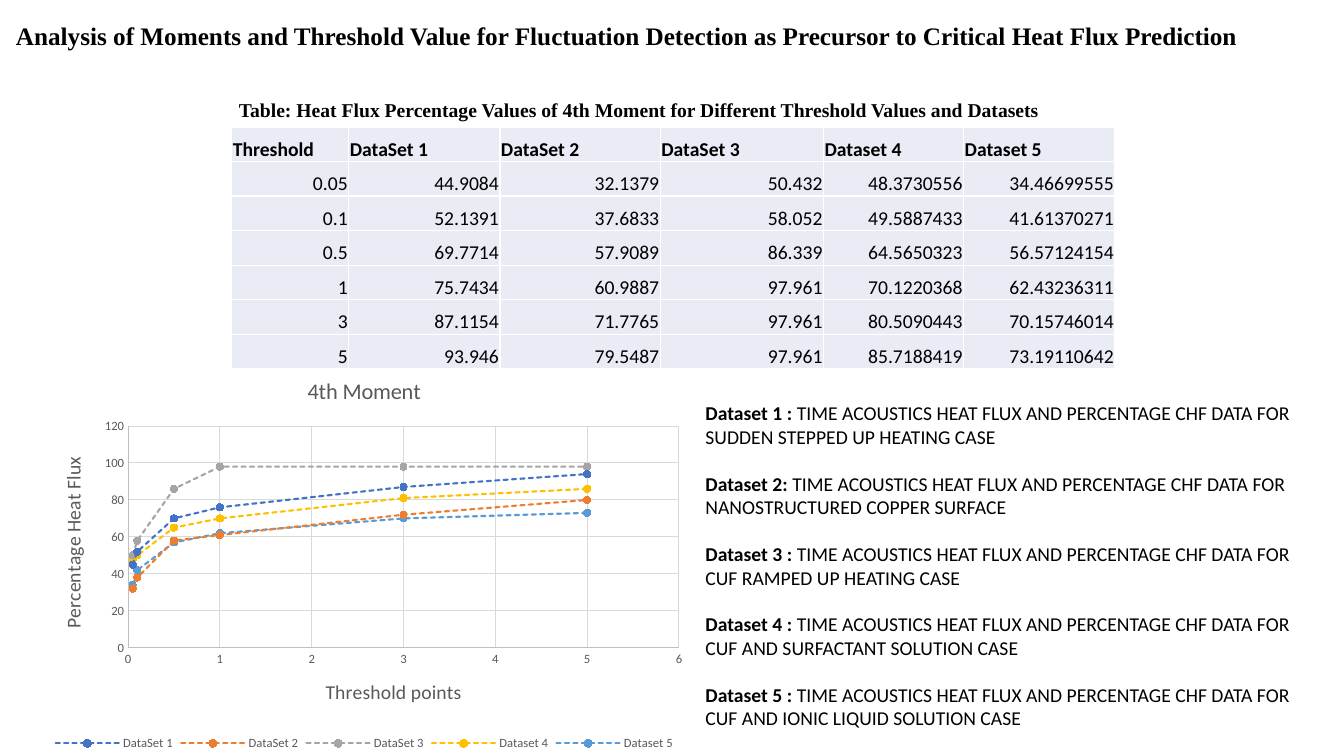
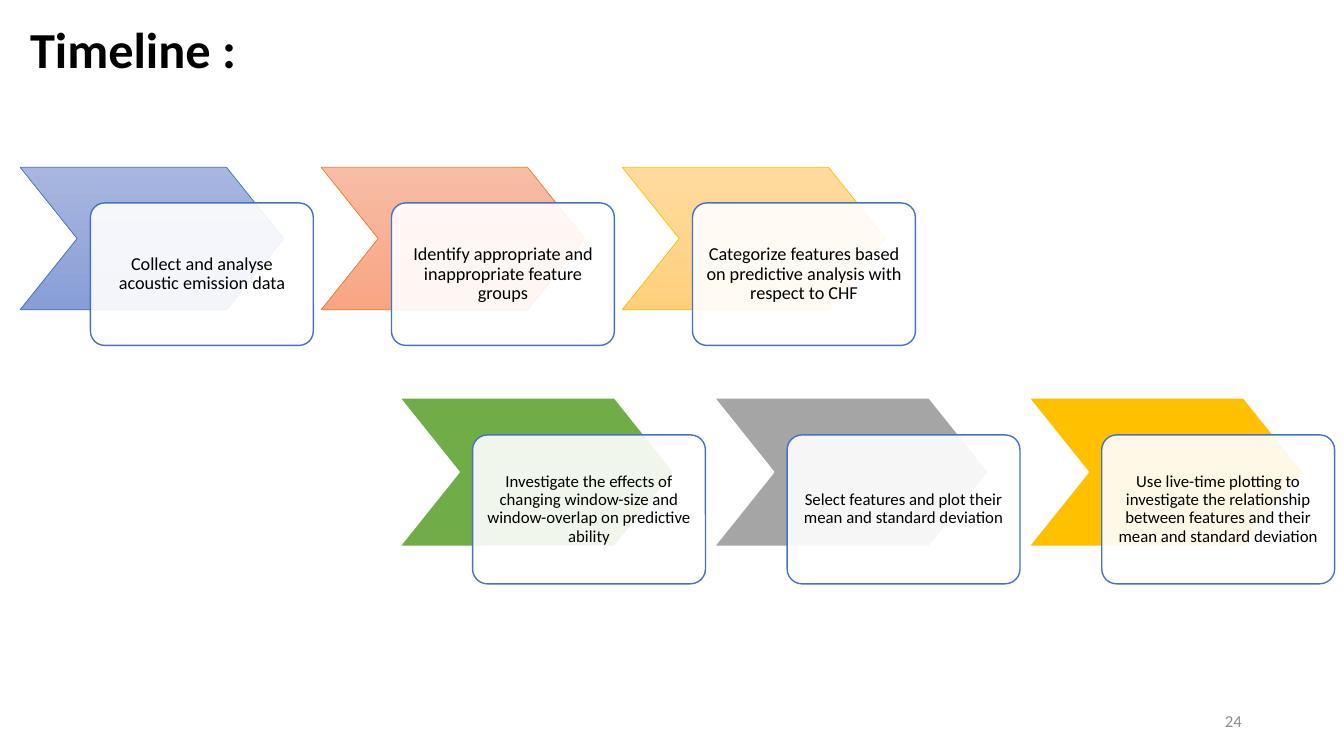
"""Build a heat flux analysis slide and a project timeline slide."""
import lxml.etree
import pptx
import pptx.chart.data
import pptx.dml.color
import pptx.enum.chart
import pptx.enum.dml
import pptx.enum.shapes
import pptx.enum.text
import pptx.oxml.ns
import pptx.util

WIDTH, HEIGHT = pptx.util.Inches(13.33), pptx.util.Inches(7.5)
BODY, SERIF = "Calibri", "Times New Roman"
BLACK, WHITE, GREY, NUMBER_GREY = "000000", "FFFFFF", "595959", "8C8C8C"
GRID, AXIS, CELL = "D9D9D9", "BFBFBF", "E9EBF5"
BLUE, ORANGE, SILVER, GOLD, SKY, GREEN = (
    "4472C4", "ED7D31", "A5A5A5", "FFC000", "5B9BD5", "70AD47")
ALIGN = pptx.enum.text.PP_ALIGN
ANCHOR = pptx.enum.text.MSO_ANCHOR
SHAPE = pptx.enum.shapes.MSO_SHAPE

HEADERS = ["Threshold", "DataSet 1", "DataSet 2", "DataSet 3", "Dataset 4", "Dataset 5"]
ROWS = [
    (0.05, 44.9084, 32.1379, 50.432, 48.3730556, 34.46699555),
    (0.1, 52.1391, 37.6833, 58.052, 49.5887433, 41.61370271),
    (0.5, 69.7714, 57.9089, 86.339, 64.5650323, 56.57124154),
    (1, 75.7434, 60.9887, 97.961, 70.1220368, 62.43236311),
    (3, 87.1154, 71.7765, 97.961, 80.5090443, 70.15746014),
    (5, 93.946, 79.5487, 97.961, 85.7188419, 73.19110642),
]
COLUMN_SHARES = [8.7, 11.25, 11.93, 12.15, 10.43, 11.25]
NOTE_START = "TIME ACOUSTICS HEAT FLUX AND PERCENTAGE CHF DATA FOR "
NOTES = [
    ("Dataset 1 : ", "SUDDEN STEPPED UP HEATING CASE"),
    ("Dataset 2: ", "NANOSTRUCTURED COPPER SURFACE"),
    ("Dataset 3 : ", "CUF RAMPED UP HEATING CASE"),
    ("Dataset 4 : ", "CUF AND SURFACTANT SOLUTION CASE"),
    ("Dataset 5 : ", "CUF AND IONIC LIQUID SOLUTION CASE"),
]
FIRST_STEPS = [
    ("Collect and analyse acoustic emission data", ("A8B7DF", "889ED7"), BLUE),
    ("Identify appropriate and inappropriate feature groups", ("F7BDA5", "F8A582"), ORANGE),
    ("Categorize features based on predictive analysis with respect to CHF",
     ("FFDB9E", "FFD07C"), GOLD),
]
SECOND_STEPS = [
    ("Investigate the effects of changing window-size and window-overlap on "
     "predictive ability", (GREEN,), WHITE),
    ("Select features and plot their mean and standard deviation", (SILVER,), WHITE),
    ("Use live-time plotting to investigate the relationship between features "
     "and their mean and standard deviation", (GOLD,), WHITE),
]


def rgb(value):
    """Turn a hex string into a colour."""
    return pptx.dml.color.RGBColor.from_string(value)


def share(x, y, w, h):
    """Turn percentages of the slide's size into a position and size."""
    return [round(total * part / 100)
            for total, part in zip((WIDTH, HEIGHT, WIDTH, HEIGHT), (x, y, w, h))]


def style(font, size, color=BLACK, bold=False, name=BODY):
    """Set the size, colour, weight and face of a font."""
    font.size, font.bold, font.name = pptx.util.Pt(size), bold, name
    font.color.rgb = rgb(color)


def set_line(line, color, width):
    """Set the colour and width of a line."""
    line.color.rgb = rgb(color)
    line.width = pptx.util.Pt(width)


def add_box(slide, area):
    """Add a wrapping text box and return its frame."""
    tf = slide.shapes.add_textbox(*share(*area)).text_frame
    tf.word_wrap = True
    return tf


def add_text(slide, area, text, size, align=ALIGN.LEFT, anchor=ANCHOR.TOP, **font):
    """Add a text box that holds one paragraph."""
    tf = add_box(slide, area)
    tf.vertical_anchor = anchor
    p = tf.paragraphs[0]
    p.text, p.alignment = text, align
    style(p.font, size, **font)


def add_notes(slide, area):
    """Add the dataset descriptions with bold labels."""
    tf = add_box(slide, area)
    for i, (label, case) in enumerate(NOTES):
        p = tf.add_paragraph() if i else tf.paragraphs[0]
        p.space_after = pptx.util.Pt(16.7)
        for text, bold in ((label, True), (NOTE_START + case, False)):
            r = p.add_run()
            r.text = text
            style(r.font, 14, bold=bold)


def add_value_table(slide, area):
    """Add the table of heat flux percentages."""
    values = [HEADERS] + ROWS
    table = slide.shapes.add_table(len(values), len(HEADERS), *share(*area)).table
    table.first_row = table.horz_banding = False
    for column, part in zip(table.columns, COLUMN_SHARES):
        column.width = round(WIDTH * part / 100)
    for i, row in enumerate(values):
        for j, value in enumerate(row):
            cell = table.cell(i, j)
            cell.fill.solid()
            cell.fill.fore_color.rgb = rgb(CELL)
            cell.vertical_anchor = ANCHOR.BOTTOM
            cell.margin_left = cell.margin_right = cell.margin_top = pptx.util.Inches(0.01)
            cell.margin_bottom = 0
            p = cell.text_frame.paragraphs[0]
            p.text = str(value)
            p.alignment = ALIGN.RIGHT if i else ALIGN.LEFT
            style(p.font, 14, bold=i == 0)


def set_title(owner, text, size):
    """Give a chart or an axis its title."""
    tf = (owner.chart_title if hasattr(owner, "chart_title") else owner.axis_title).text_frame
    tf.text = text
    style(tf.paragraphs[0].font, size, GREY)


def set_axis(axis, title, maximum, step):
    """Set the scale, lines, labels and title of an axis."""
    axis.minimum_scale, axis.maximum_scale, axis.major_unit = 0, maximum, step
    axis.major_tick_mark = axis.minor_tick_mark = pptx.enum.chart.XL_TICK_MARK.NONE
    axis.has_major_gridlines = True
    set_line(axis.major_gridlines.format.line, GRID, 0.75)
    set_line(axis.format.line, AXIS, 0.75)
    style(axis.tick_labels.font, 9, GREY)
    axis.tick_labels.number_format = "General"
    axis.tick_labels.number_format_is_linked = False
    set_title(axis, title, 14)


def set_plot_area(chart, **parts):
    """Fix the inner plot area as shares of the chart's size."""
    qn = pptx.oxml.ns.qn
    area = chart.element.find(".//" + qn("c:plotArea"))
    layout = area.find(qn("c:layout"))
    if layout is None:
        layout = lxml.etree.Element(qn("c:layout"))
        area.insert(0, layout)
    manual = lxml.etree.SubElement(layout, qn("c:manualLayout"))
    settings = {"layoutTarget": "inner", "xMode": "edge", "yMode": "edge", **parts}
    for tag, value in settings.items():
        lxml.etree.SubElement(manual, qn("c:" + tag)).set("val", str(value))


def round_dashes(chart):
    """Give the dashed lines of a chart round ends."""
    qn = pptx.oxml.ns.qn
    for dash in chart.element.iter(qn("a:prstDash")):
        dash.getparent().set("cap", "rnd")


def add_moment_chart(slide, area):
    """Add the scatter chart of heat flux against threshold."""
    data = pptx.chart.data.XyChartData()
    thresholds, *columns = zip(*ROWS)
    for name, column in zip(HEADERS[1:], columns):
        series = data.add_series(name)
        for threshold, value in zip(thresholds, column):
            series.add_data_point(threshold, round(value))
    kind = pptx.enum.chart.XL_CHART_TYPE.XY_SCATTER_LINES
    chart = slide.shapes.add_chart(kind, *share(*area), data).chart
    style(chart.font, 10)
    set_title(chart, "4th Moment", 16)
    set_axis(chart.category_axis, "Threshold points", 6, 1)
    set_axis(chart.value_axis, "Percentage Heat Flux", 120, 20)
    chart.has_legend = True
    chart.legend.position = pptx.enum.chart.XL_LEGEND_POSITION.BOTTOM
    chart.legend.include_in_layout = False
    style(chart.legend.font, 9, GREY)
    plot = chart.plots[0]
    plot.vary_by_categories = False
    for series, color in zip(plot.series, (BLUE, ORANGE, SILVER, GOLD, SKY)):
        series.smooth = False
        set_line(series.format.line, color, 1.5)
        series.format.line.dash_style = pptx.enum.dml.MSO_LINE.SQUARE_DOT
        marker = series.marker
        marker.style, marker.size = pptx.enum.chart.XL_MARKER_STYLE.CIRCLE, 5
        marker.format.fill.solid()
        marker.format.fill.fore_color.rgb = rgb(color)
        set_line(marker.format.line, color, 0.75)
    round_dashes(chart)
    set_plot_area(chart, x=0.14, y=0.17, w=0.84, h=0.56)


def add_shape(slide, kind, area, colors, line, width, adjustment):
    """Add a shape with a plain fill or a top to bottom gradient."""
    sp = slide.shapes.add_shape(kind, *share(*area))
    sp.shadow.inherit = False
    sp.adjustments[0] = adjustment
    if len(colors) == 1:
        sp.fill.solid()
        sp.fill.fore_color.rgb = rgb(colors[0])
    else:
        sp.fill.gradient()
        sp.fill.gradient_angle = 270
        for stop, color in zip(sp.fill.gradient_stops, colors):
            stop.color.rgb = rgb(color)
    set_line(sp.line, line, width)
    return sp


def set_opacity(sp, percent):
    """Make a plain fill partly transparent."""
    qn = pptx.oxml.ns.qn
    color = sp.element.spPr.find(qn("a:solidFill")).find(qn("a:srgbClr"))
    lxml.etree.SubElement(color, qn("a:alpha")).set("val", str(percent * 1000))


def add_steps(slide, area, steps, size, line_width):
    """Add a row of chevrons, each with an overlapping text card."""
    left, top, w, h = area
    for i, (text, colors, line) in enumerate(steps):
        x = left + i * w * 8 / 7
        add_shape(slide, SHAPE.CHEVRON, (x, top, w, h), colors, line, line_width, 0.4)
        card = (x + w * 4 / 15, top + h / 4, w * 11 / 13, h)
        sp = add_shape(slide, SHAPE.ROUNDED_RECTANGLE, card, (WHITE,), BLUE, 1, 0.1)
        set_opacity(sp, 90)
        tf = sp.text_frame
        tf.word_wrap = True
        tf.vertical_anchor = ANCHOR.MIDDLE
        tf.margin_left = tf.margin_right = pptx.util.Inches(0.08)
        p = tf.paragraphs[0]
        p.text, p.alignment, p.line_spacing = text, ALIGN.CENTER, 0.9
        style(p.font, size)


def build_analysis(slide):
    """Fill the slide with the table, chart and dataset notes."""
    add_moment_chart(slide, (2.7, 47.45, 48.8, 52.4))
    add_notes(slide, (51.75, 52.4, 46.05, 47.6))
    add_value_table(slide, (17.25, 16.8, sum(COLUMN_SHARES), 32))
    add_text(slide, (17.03, 12.27, 65.93, 4.53),
             "Table: Heat Flux Percentage Values of 4th Moment for Different "
             "Threshold Values and Datasets", 14, bold=True, name=SERIF)
    add_text(slide, (0.45, 2, 93.75, 5.33),
             "Analysis of Moments and Threshold Value for Fluctuation Detection "
             "as Precursor to Critical Heat Flux Prediction", 18, bold=True, name=SERIF)


def build_timeline(slide):
    """Fill the slide with two rows of steps."""
    add_text(slide, (70.65, 92.67, 22.5, 5.33), "24", 12,
             ALIGN.RIGHT, ANCHOR.MIDDLE, color=NUMBER_GREY)
    add_steps(slide, (1.5, 22.13, 19.6, 18.85), FIRST_STEPS, 13, 0.5)
    add_steps(slide, (29.7, 52.6, 20.48, 19.7), SECOND_STEPS, 12, 1.5)
    add_text(slide, (1.5, 1.73, 23.93, 9.47), "Timeline :", 36, bold=True)


def main():
    """Build and save the presentation."""
    prs = pptx.Presentation()
    prs.slide_width, prs.slide_height = WIDTH, HEIGHT
    for build in (build_analysis, build_timeline):
        build(prs.slides.add_slide(prs.slide_layouts[6]))
    prs.save("out.pptx")


if __name__ == "__main__":
    main()
